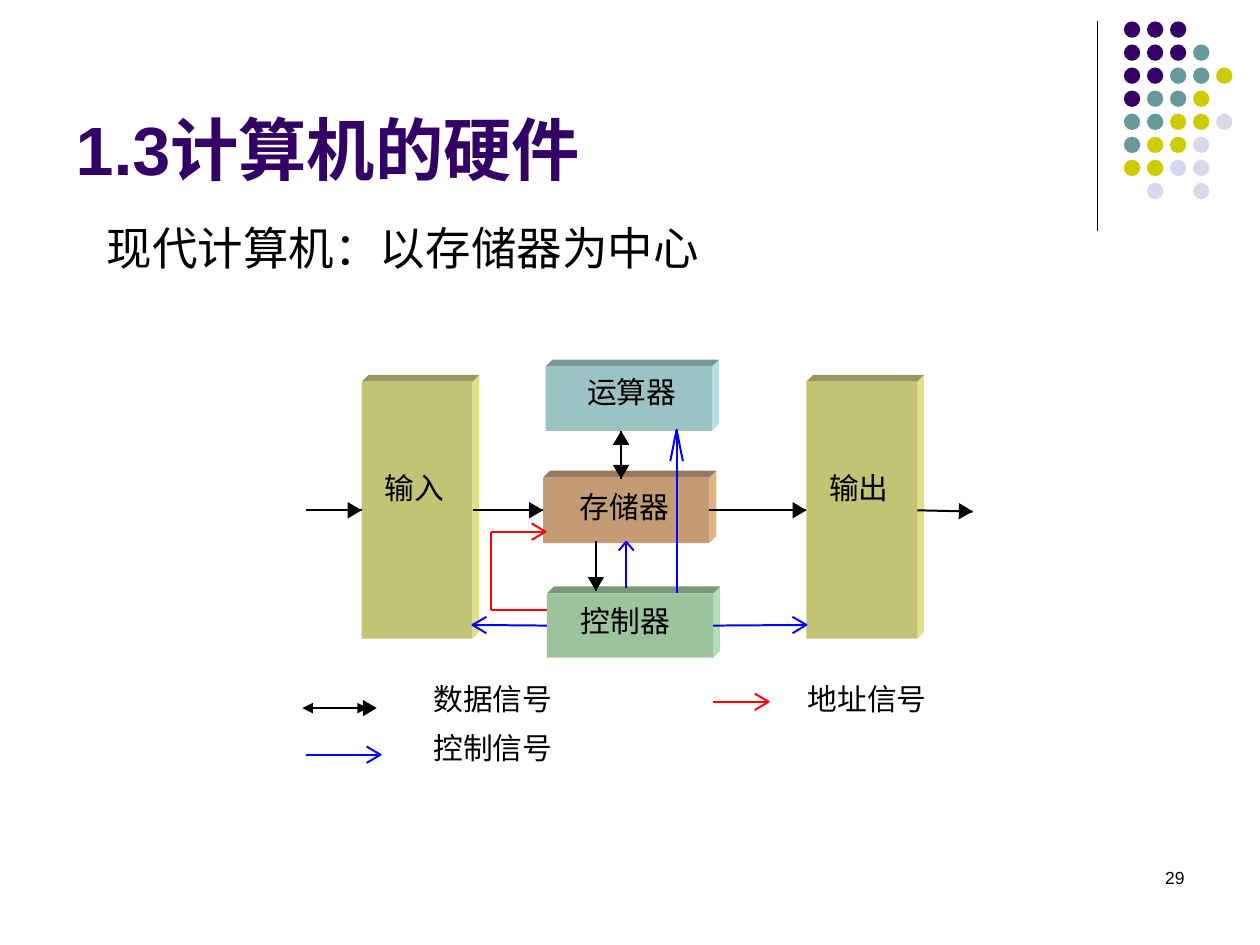
from math import hypot

from lxml.etree import SubElement
from pptx import Presentation
from pptx.dml.color import RGBColor
from pptx.enum.shapes import MSO_CONNECTOR as Connector, MSO_SHAPE as Shape
from pptx.enum.text import MSO_ANCHOR as Anchor, PP_ALIGN as Align
from pptx.oxml.ns import qn
from pptx.util import Inches, Pt

BLACK, RED, BLUE, PURPLE = "000000", "FF0000", "0000FF", "330066"
CJK = "Noto Sans CJK SC"
TOP, LEFT, BOTTOM, RIGHT = range(4)
DEPTH = 0.055

DOT_COLOURS = {"P": PURPLE, "T": "669999", "Y": "CCCC00", "L": "D8D8EC"}
DOT_ROWS = ["PPP", "PPPT", "PPTTY", "PTTY", "TTYYL", "TYYL", "YYLL", ".L.L"]
DOT_ORIGIN, DOT_PITCH, DOT_SIZE = (8.92, 0.17), 0.183, 0.13

OLIVE = ("C3C375", "97975B", "E0E086")
BLOCKS = {
    "存储器": ((4.31, 3.79, 1.32, 0.52), ("C39C75", "97795B", "E0B386"), (4.6, 3.88)),
    "输出": ((6.4, 3.03, 0.88, 2.04), OLIVE, (6.58, 3.73)),
    "输入": ((2.87, 3.03, 0.88, 2.04), OLIVE, (3.05, 3.73)),
    "运算器": ((4.33, 2.91, 1.32, 0.51), ("9CC3C3", "799797", "B3E0E0"), (4.66, 2.97)),
    "控制器": ((4.34, 4.71, 1.32, 0.51), ("9CC39C", "799779", "B3E0B3"), (4.61, 4.78)),
}
LEGEND = [("数据信号", 3.44, 5.4), ("控制信号", 3.44, 5.79), ("地址信号", 6.41, 5.4)]

HEAD = (0.11, 0.065)
ARROWS = [
    (("输入", RIGHT), ("存储器", LEFT), BLACK, HEAD),
    (("存储器", RIGHT), ("输出", LEFT), BLACK, HEAD),
    ((2.43, 4.05), ("输入", LEFT), BLACK, HEAD),
    (("输出", RIGHT), (7.72, 4.06), BLACK, HEAD),
    ((4.93, 3.61), (4.93, 3.42), BLACK, HEAD),
    ((4.93, 3.61), (4.93, 3.8), BLACK, HEAD),
    ((4.73, 4.29), (4.73, 4.69), BLACK, HEAD),
    ((4.34, 4.84), (3.9, 4.84), RED, None),
    ((3.9, 4.84), (3.9, 4.22), RED, None),
    ((3.9, 4.22), (4.33, 4.22), RED, HEAD),
    (("控制器", LEFT), (3.75, 4.96), BLUE, HEAD),
    (("控制器", RIGHT), (6.4, 4.96), BLUE, HEAD),
    ((4.97, 4.67), (4.97, 4.3), BLUE, (0.07, 0.06)),
    ((5.37, 4.71), (5.37, 3.41), BLUE, (0.25, 0.05)),
    ((2.43, 5.99), (3.02, 5.99), BLUE, HEAD),
    ((5.66, 5.57), (6.1, 5.57), RED, HEAD),
]


def colour(value):
    return RGBColor.from_string(value)


def write(frame, text, size=17, font=CJK, fill=BLACK, bold=False, align=Align.LEFT,
          anchor=Anchor.TOP, wrap=True, before=0, hanging=0):
    frame.word_wrap, frame.vertical_anchor = wrap, anchor
    paragraph = frame.paragraphs[0]
    paragraph.alignment, paragraph.space_before = align, Pt(before)
    if hanging:
        properties = paragraph._p.get_or_add_pPr()
        properties.set("marL", str(Inches(hanging)))
        properties.set("indent", str(-Inches(hanging)))
    run = paragraph.add_run()
    run.text = text
    run.font.size, run.font.bold, run.font.name = Pt(size), bold, font
    run.font.color.rgb = colour(fill)
    SubElement(run._r.get_or_add_rPr(), qn("a:ea"), typeface=CJK)


def add_text(slide, text, left, top, width, height, inset=True, **style):
    frame = slide.shapes.add_textbox(*map(Inches, (left, top, width, height))).text_frame
    if not inset:
        frame.margin_left = frame.margin_top = frame.margin_right = frame.margin_bottom = 0
    write(frame, text, **style)


def add_label(slide, text, left, top):
    add_text(slide, text, left, top, 0.237 * len(text), 0.28, inset=False, wrap=False)


def paint(shape, fill=None, line=None):
    shape.shadow.inherit = False
    if fill:
        shape.fill.solid()
        shape.fill.fore_color.rgb = colour(fill)
    else:
        shape.fill.background()
    if line:
        shape.line.color.rgb, shape.line.width = colour(line), Pt(1.13)
    else:
        shape.line.fill.background()


def add_preset(slide, kind, box, fill):
    shape = slide.shapes.add_shape(kind, *map(Inches, box))
    paint(shape, fill)
    return shape


def add_outline(slide, points, fill=None, line=None):
    start, *rest = [tuple(map(Inches, point)) for point in points]
    builder = slide.shapes.build_freeform(*start)
    builder.add_line_segments(rest, close=bool(fill))
    paint(builder.convert_to_shape(), fill, line)


def add_block(slide, box, colours):
    left, top, width, height = box
    right, bottom = left + width, top + height
    front, lid, side = colours
    far_right, far_top = right + DEPTH, top - DEPTH
    add_outline(slide, [(right, bottom), (right, top), (far_right, far_top),
                        (far_right, bottom - DEPTH)], side)
    add_outline(slide, [(right, top), (left, top), (left + DEPTH, far_top),
                        (far_right, far_top)], lid)
    return add_preset(slide, Shape.RECTANGLE, box, front)


def locate(end):
    if end[0] not in BLOCKS:
        return end
    left, top, width, height = BLOCKS[end[0]][0]
    across, down = {TOP: (0.5, 0), LEFT: (0, 0.5), BOTTOM: (0.5, 1), RIGHT: (1, 0.5)}[end[1]]
    return left + across * width, top + down * height


def add_line(slide, start, end, line=BLACK, width=1.13):
    connector = slide.shapes.add_connector(Connector.STRAIGHT, *map(Inches, (*start, *end)))
    connector.line.color.rgb, connector.line.width = colour(line), Pt(width)
    SubElement(connector._element.spPr, qn("a:effectLst"))
    return connector


def add_head(slide, start, tip, line, size):
    length, half = size
    run, rise = tip[0] - start[0], tip[1] - start[1]
    distance = hypot(run, rise)
    run, rise = run / distance, rise / distance
    back = tip[0] - length * run, tip[1] - length * rise
    points = [(back[0] - half * rise, back[1] + half * run), tip,
              (back[0] + half * rise, back[1] - half * run)]
    add_outline(slide, points, **{"fill" if line == BLACK else "line": line})


def add_arrow(slide, blocks, start, end, line, head):
    first, last = locate(start), locate(end)
    connector = add_line(slide, first, last, line)
    if start[0] in blocks:
        connector.begin_connect(blocks[start[0]], start[1])
    if end[0] in blocks:
        connector.end_connect(blocks[end[0]], end[1])
    if head:
        add_head(slide, first, last, line, head)


def add_data_key(slide):
    start, end = (2.4, 5.62), (2.92, 5.62)
    connector = add_line(slide, start, end)
    for tag in ("a:headEnd", "a:tailEnd"):
        SubElement(connector.line._get_or_add_ln(), qn(tag), type="triangle")
    add_head(slide, start, (2.99, 5.62), BLACK, HEAD)


def main():
    """Build the slide on computer hardware centred on memory."""
    presentation = Presentation()
    presentation.slide_width, presentation.slide_height = Inches(10), Inches(7.5)
    slide = presentation.slides.add_slide(presentation.slide_layouts[5])

    add_line(slide, (8.71, 0.17), (8.71, 1.83), width=0.75)
    for row, letters in enumerate(DOT_ROWS):
        for column, letter in enumerate(letters):
            if letter in DOT_COLOURS:
                left, top = DOT_ORIGIN[0] + column * DOT_PITCH, DOT_ORIGIN[1] + row * DOT_PITCH
                add_preset(slide, Shape.OVAL, (left, top, DOT_SIZE, DOT_SIZE), DOT_COLOURS[letter])

    title = slide.shapes.title
    title.left, title.top, title.width, title.height = map(Inches, (0.5, 0.13, 8.25, 1.42))
    write(title.text_frame, "1.3计算机的硬件", size=39, font="Arial", fill=PURPLE, bold=True,
          anchor=Anchor.BOTTOM)
    add_text(slide, "现代计算机：以存储器为中心", 0.75, 1.7, 7.01, 4.82, size=26, font="Arial",
             before=6.5, hanging=0.63)
    add_text(slide, "29", 7.17, 6.83, 2.33, 0.5, size=10, font="Arial", align=Align.RIGHT)

    blocks = {}
    for name, (box, colours, place) in BLOCKS.items():
        blocks[name] = add_block(slide, box, colours)
        add_label(slide, name, *place)
    for arrow in ARROWS:
        add_arrow(slide, blocks, *arrow)
    add_data_key(slide)
    for entry in LEGEND:
        add_label(slide, *entry)
    presentation.save("out.pptx")


if __name__ == "__main__":
    main()
